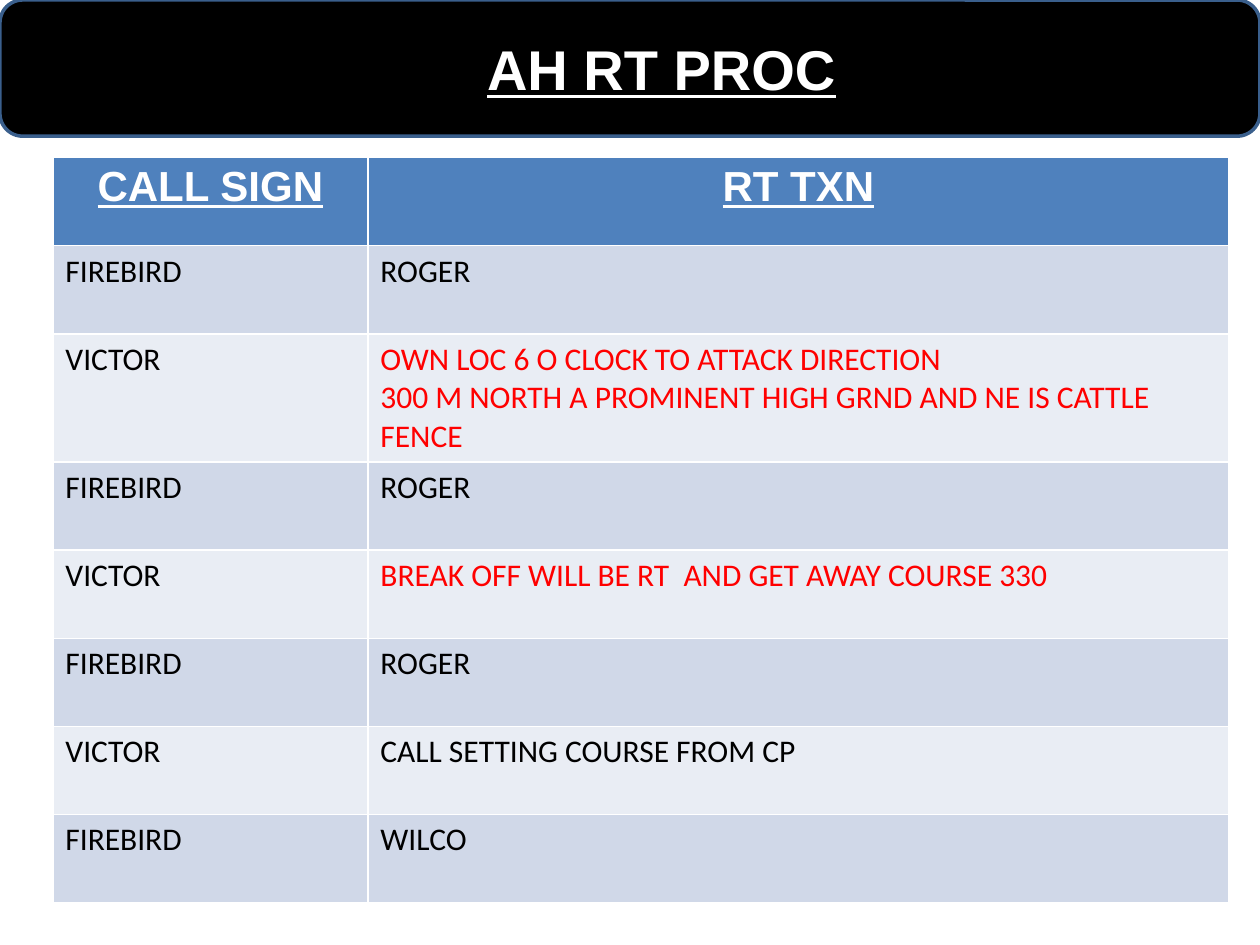
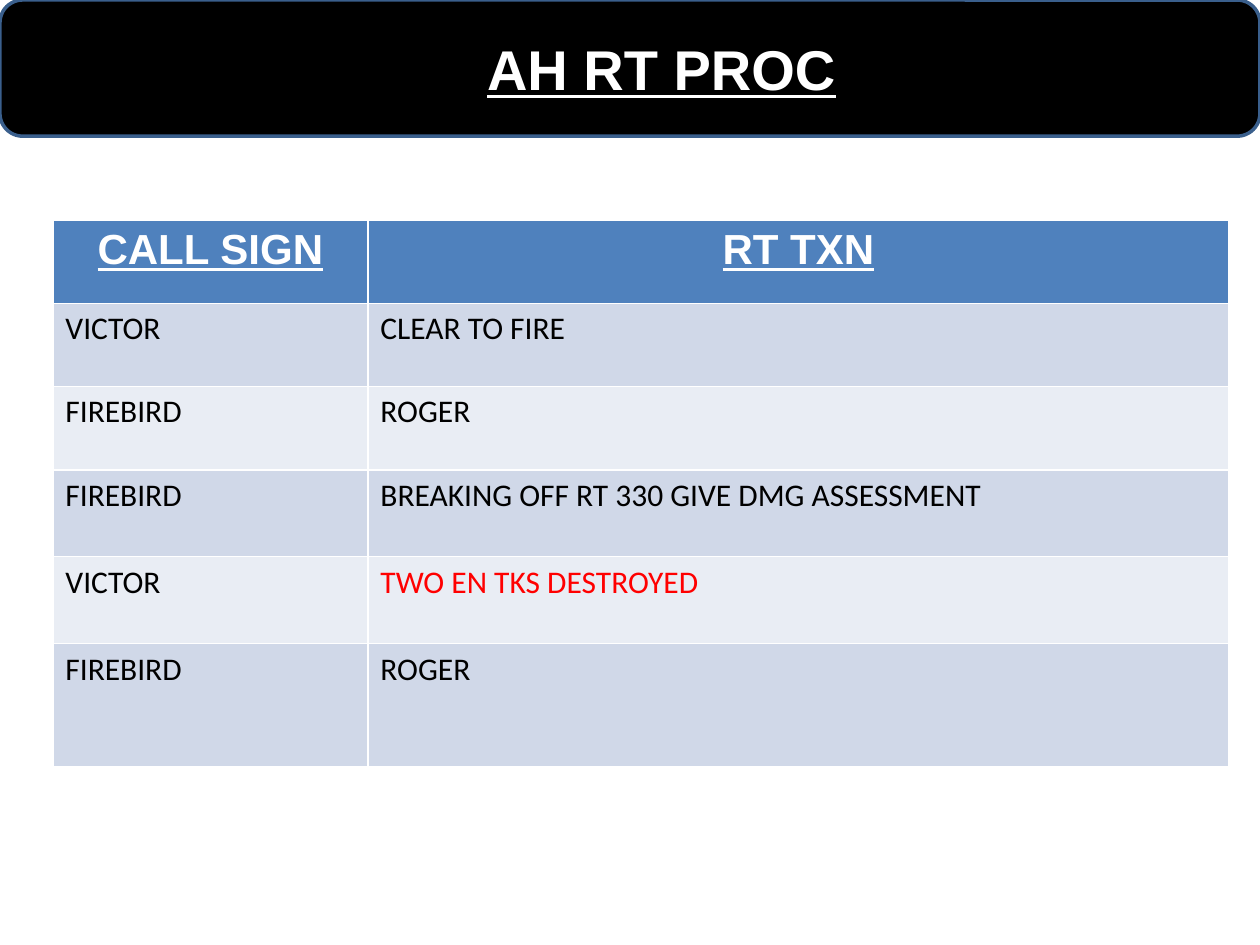
from dataclasses import dataclass

from pptx import Presentation
from pptx.dml.color import RGBColor
from pptx.enum.shapes import MSO_SHAPE as Shape
from pptx.enum.text import MSO_ANCHOR as Anchor, PP_ALIGN as Align
from pptx.util import Pt

BLACK = RGBColor(0x00, 0x00, 0x00)
WHITE = RGBColor(0xFF, 0xFF, 0xFF)
RED = RGBColor(0xFF, 0x00, 0x00)
NAVY = RGBColor(0x3A, 0x5F, 0x8C)
BLUE = RGBColor(0x4F, 0x81, 0xBD)
BANDS = (RGBColor(0xD0, 0xD8, 0xE8), RGBColor(0xE9, 0xED, 0xF4))

WIDTH, HEIGHT = 720, 540
BAND_H = 77.8
INDENT = 36
LEFT = 30.2
COLS = (180, 492)
TITLE = "AH RT PROC"
HEADS = ("CALL SIGN", "RT TXN")


@dataclass(frozen=True)
class Font:
    name: str
    size: float
    color: RGBColor
    strong: bool = False  # bold and underlined


@dataclass(frozen=True)
class Call:
    sign: str
    lines: tuple[str, ...]
    color: RGBColor = BLACK


@dataclass(frozen=True)
class Page:
    top: float
    height: float
    rows: tuple[float, ...]
    calls: tuple[Call, ...]


TITLE_FONT = Font("Arial", 32, WHITE, True)
HEAD_FONT = Font("Arial", 24, WHITE, True)

PAGES = (
    Page(90, 427, (50.4,) * 8, (
        Call("FIREBIRD", ("ROGER",)),
        Call("VICTOR", ("OWN LOC 6 O CLOCK TO ATTACK DIRECTION",
                        "300 M NORTH A PROMINENT HIGH GRND AND NE IS CATTLE FENCE"), RED),
        Call("FIREBIRD", ("ROGER",)),
        Call("VICTOR", ("BREAK OFF WILL BE RT  AND GET AWAY COURSE 330",), RED),
        Call("FIREBIRD", ("ROGER",)),
        Call("VICTOR", ("CALL SETTING COURSE FROM CP",)),
        Call("FIREBIRD", ("WILCO",)),
    )),
    Page(126, 312.5, (47.5, 47.5, 47.5, 49.7, 49.7, 70.6), (
        Call("VICTOR", ("CLEAR TO FIRE",)),
        Call("FIREBIRD", ("ROGER",)),
        Call("FIREBIRD", ("BREAKING OFF RT 330 GIVE DMG ASSESSMENT",)),
        Call("VICTOR", ("TWO EN TKS DESTROYED",), RED),
        Call("FIREBIRD", ("ROGER",)),
    )),
)


def write(frame, lines: tuple[str, ...], font: Font, align: Align) -> None:
    for i, line in enumerate(lines):
        para = frame.add_paragraph() if i else frame.paragraphs[0]
        para.alignment = align
        run = para.add_run()
        run.text = line
        run.font.name = font.name
        run.font.size = Pt(font.size)
        run.font.bold = run.font.underline = font.strong
        run.font.color.rgb = font.color


def add_title(slide) -> None:
    """Set the title on a rounded band that spans the slide."""
    band = slide.shapes.add_shape(Shape.ROUNDED_RECTANGLE, 0, 0, Pt(WIDTH), Pt(BAND_H))
    band.shadow.inherit = False
    band.fill.solid()
    band.fill.fore_color.rgb = BLACK
    band.line.color.rgb = NAVY
    band.line.width = Pt(2)

    title = slide.shapes.title
    title.left, title.top = Pt(INDENT), Pt(0)
    title.width, title.height = Pt(WIDTH - INDENT), Pt(BAND_H)
    title.text_frame.vertical_anchor = Anchor.MIDDLE
    write(title.text_frame, (TITLE,), TITLE_FONT, Align.CENTER)
    title.element.addprevious(band.element)


def fill_cell(cell, lines: tuple[str, ...], font: Font, align: Align, color: RGBColor) -> None:
    cell.fill.solid()
    cell.fill.fore_color.rgb = color
    write(cell.text_frame, lines, font, align)


def add_calls(slide, page: Page) -> None:
    frame = slide.shapes.add_table(len(page.rows), len(COLS), Pt(LEFT), Pt(page.top),
                                   Pt(sum(COLS)), Pt(page.height))
    table = frame.table
    for col, width in zip(table.columns, COLS):
        col.width = Pt(width)
    for row, height in zip(table.rows, page.rows):
        row.height = Pt(height)
    frame.height = Pt(page.height)

    for c, head in enumerate(HEADS):
        fill_cell(table.cell(0, c), (head,), HEAD_FONT, Align.CENTER, BLUE)
    for r, call in enumerate(page.calls):
        texts = (((call.sign,), BLACK), (call.lines, call.color))
        for c, (lines, color) in enumerate(texts):
            fill_cell(table.cell(r + 1, c), lines, Font("Calibri", 18, color),
                      Align.LEFT, BANDS[r % 2])


def main() -> None:
    deck = Presentation()
    deck.slide_width, deck.slide_height = Pt(WIDTH), Pt(HEIGHT)
    layout = deck.slide_layouts.get_by_name("Title Only")
    for page in PAGES:
        slide = deck.slides.add_slide(layout)
        add_title(slide)
        add_calls(slide, page)
    deck.save("out.pptx")


if __name__ == "__main__":
    main()
